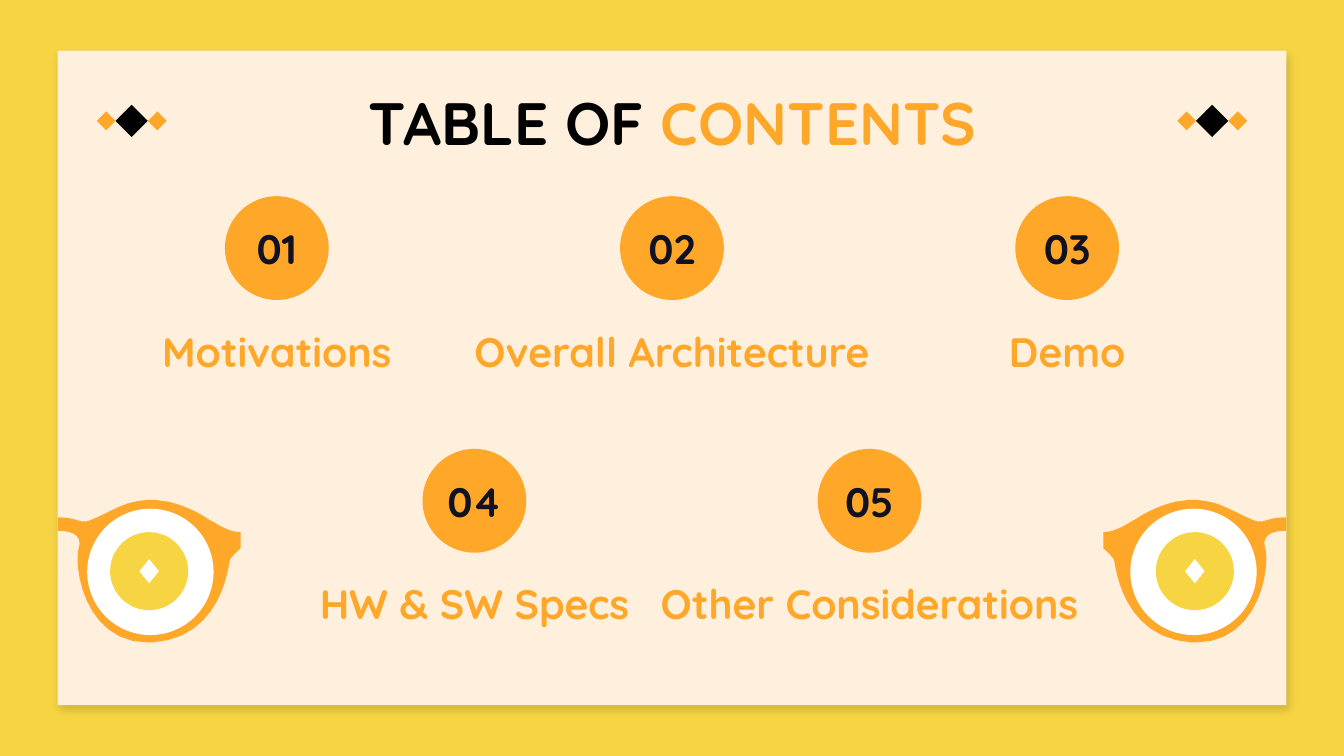
from lxml import etree
from pptx import Presentation
from pptx.dml.color import RGBColor
from pptx.enum.shapes import MSO_SHAPE
from pptx.enum.text import MSO_ANCHOR, MSO_AUTO_SIZE, PP_ALIGN
from pptx.oxml.ns import qn
from pptx.util import Pt

RECTANGLE = MSO_SHAPE.RECTANGLE
OVAL = MSO_SHAPE.OVAL
DIAMOND = MSO_SHAPE.DIAMOND
MIDDLE = MSO_ANCHOR.MIDDLE
CENTER = PP_ALIGN.CENTER
NO_AUTOFIT = MSO_AUTO_SIZE.NONE

YELLOW = RGBColor(0xF6, 0xD4, 0x42)
CREAM = RGBColor(0xFF, 0xEF, 0xDD)
ORANGE = RGBColor(0xFF, 0xA7, 0x28)
BLACK = RGBColor(0x01, 0x01, 0x01)
NAVY = RGBColor(0x10, 0x11, 0x22)
WHITE = RGBColor(0xFF, 0xFF, 0xFF)

FONT = "Quicksand"
SLIDE_WIDTH = 720
SLIDE_HEIGHT = 405
COLUMN_STEP = 211.7
ROW_STEP = 135.4
CIRCLE_SIZE = 55.6
CURVE_STEPS = 12

ROWS = [
    [("01", "Motivations", 183), ("02", "Overall Architecture", 232.6), ("03", "Demo", 183)],
    [("04", "HW & SW Specs", 216.7), ("05", "Other Considerations", 244)],
]

FRAME_START = (82.1, 267.8)
FRAME_SEGMENTS = [
    [(84.2, 267.8), (87.1, 268.6), (89.3, 268.6)],
    [(89.3, 268.6), (100.8, 270.7), (112.3, 278.6)],
    [(114.5, 279.4), (121.7, 285.1), (128.9, 285.1)],
    [(128.9, 293.8)],
    [(128.9, 293.8), (123.8, 298.1), (123.1, 300.2)],
    [(122.4, 303.1), (118.8, 342), (81.4, 344.2)],
    [(79.2, 344.2)],
    [(44.6, 344.2), (38.9, 301.7), (42.5, 292.3)],
    [(42.5, 292.3), (44.6, 284.4), (31.7, 284.4)],
    [(31, 284.4)],
    [(31, 277.2)],
    [(39.6, 277.2), (41.8, 279.4), (44.6, 279.4)],
    [(46.1, 279.4)],
    [(50.4, 278.6), (59.8, 272.9), (67.7, 270)],
    [(72, 268.6), (77, 267.8), (82.1, 267.8)],
]


def paint(shape, color):
    shape.shadow.inherit = False
    shape.fill.solid()
    shape.fill.fore_color.rgb = color
    shape.line.fill.background()
    return shape


def add_centered_shape(slide, kind, center_x, center_y, width, height, color):
    shape = slide.shapes.add_shape(
        kind, Pt(center_x - width / 2), Pt(center_y - height / 2), Pt(width), Pt(height)
    )
    return paint(shape, color)


def write_text(shape, text, size=22, color=ORANGE, inset=7.2):
    frame = shape.text_frame
    frame.word_wrap = True
    frame.auto_size = NO_AUTOFIT
    frame.vertical_anchor = MIDDLE
    frame.margin_left = frame.margin_right = Pt(inset)
    frame.margin_top = frame.margin_bottom = Pt(inset)
    paragraph = frame.paragraphs[0]
    paragraph.alignment = CENTER
    run = paragraph.add_run()
    run.text = text
    run.font.name = FONT
    run.font.size = Pt(size)
    run.font.bold = True
    run.font.color.rgb = color


def add_panel(slide):
    panel = add_centered_shape(slide, RECTANGLE, 360, 202.5, 658.4, 350.6, CREAM)
    effects = panel._element.spPr.find(qn("a:effectLst"))
    shadow = etree.SubElement(
        effects, qn("a:outerShdw"),
        blurRad=str(Pt(4.5)), dist=str(Pt(3)), dir=str(64 * 60000),
        algn="bl", rotWithShape="0",
    )
    color = etree.SubElement(shadow, qn("a:srgbClr"), val="000000")
    etree.SubElement(color, qn("a:alpha"), val="14000")


def add_title(slide):
    title = slide.shapes.title
    title.left, title.top, title.width, title.height = Pt(56.9), Pt(42.5), Pt(607), Pt(45.4)
    write_text(title, "TABLE OF ", size=32, color=BLACK)
    write_text(title, "CONTENTS", size=32)


def add_entry(slide, number, label, center_x, top, width):
    circle = add_centered_shape(
        slide, OVAL, center_x, top + CIRCLE_SIZE / 2, CIRCLE_SIZE, CIRCLE_SIZE, ORANGE
    )
    write_text(circle, number, color=NAVY, inset=0)
    box = slide.shapes.add_textbox(Pt(center_x - width / 2), Pt(top + 61.9), Pt(width), Pt(41.8))
    write_text(box, label)


def add_entries(slide):
    for row_index, row in enumerate(ROWS):
        first_center = SLIDE_WIDTH / 2 - COLUMN_STEP * (len(row) - 1) / 2
        for column, (number, label, width) in enumerate(row):
            center_x = first_center + column * COLUMN_STEP
            add_entry(slide, number, label, center_x, 105.1 + row_index * ROW_STEP, width)


def add_ornament(slide, center_x):
    for offset, size, color in ((0, 17.3, BLACK), (13.7, 10.1, ORANGE), (-13.7, 10.1, ORANGE)):
        add_centered_shape(slide, DIAMOND, center_x + offset, 64.8, size, size, color)


def curve_points(start, controls):
    if len(controls) == 1:
        return controls
    points = []
    for step in range(1, CURVE_STEPS + 1):
        t = step / CURVE_STEPS
        weights = ((1 - t) ** 3, 3 * t * (1 - t) ** 2, 3 * t * t * (1 - t), t ** 3)
        corners = [start, *controls]
        points.append(tuple(
            sum(weight * corner[axis] for weight, corner in zip(weights, corners))
            for axis in (0, 1)
        ))
    return points


def add_glasses(slide, mirrored):
    def place(x):
        return SLIDE_WIDTH - x if mirrored else x

    outline = [FRAME_START]
    for segment in FRAME_SEGMENTS:
        outline += curve_points(outline[-1], segment)
    vertices = [(Pt(place(x)), Pt(y)) for x, y in outline]
    builder = slide.shapes.build_freeform(*vertices[0])
    builder.add_line_segments(vertices[1:], close=True)
    paint(builder.convert_to_shape(), ORANGE)
    add_centered_shape(slide, OVAL, place(80.6), 306.4, 67.7, 67.7, WHITE)
    add_centered_shape(slide, OVAL, place(79.9), 306, 41.8, 41.8, YELLOW)
    add_centered_shape(slide, DIAMOND, place(79.9), 306, 10.4, 13, WHITE)


def main():
    presentation = Presentation()
    presentation.slide_width = Pt(SLIDE_WIDTH)
    presentation.slide_height = Pt(SLIDE_HEIGHT)
    slide = presentation.slides.add_slide(presentation.slide_layouts.get_by_name("Title Only"))
    slide.background.fill.solid()
    slide.background.fill.fore_color.rgb = YELLOW
    add_panel(slide)
    add_title(slide)
    add_entries(slide)
    for center_x in (70.6, SLIDE_WIDTH - 70.6):
        add_ornament(slide, center_x)
    for mirrored in (True, False):
        add_glasses(slide, mirrored)
    title_element = slide.shapes.title._element
    title_element.getparent().append(title_element)
    presentation.save("out.pptx")


if __name__ == "__main__":
    main()
